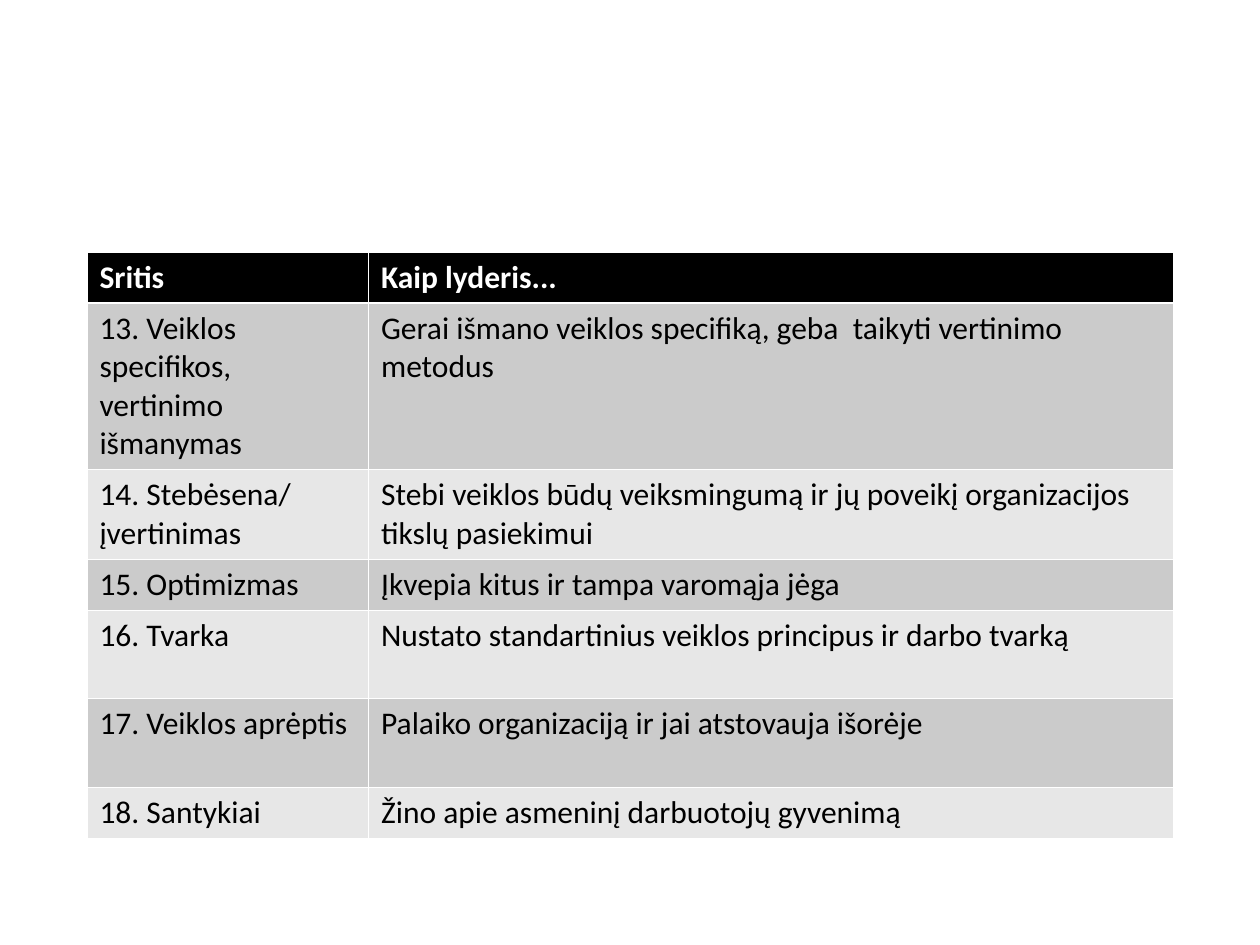
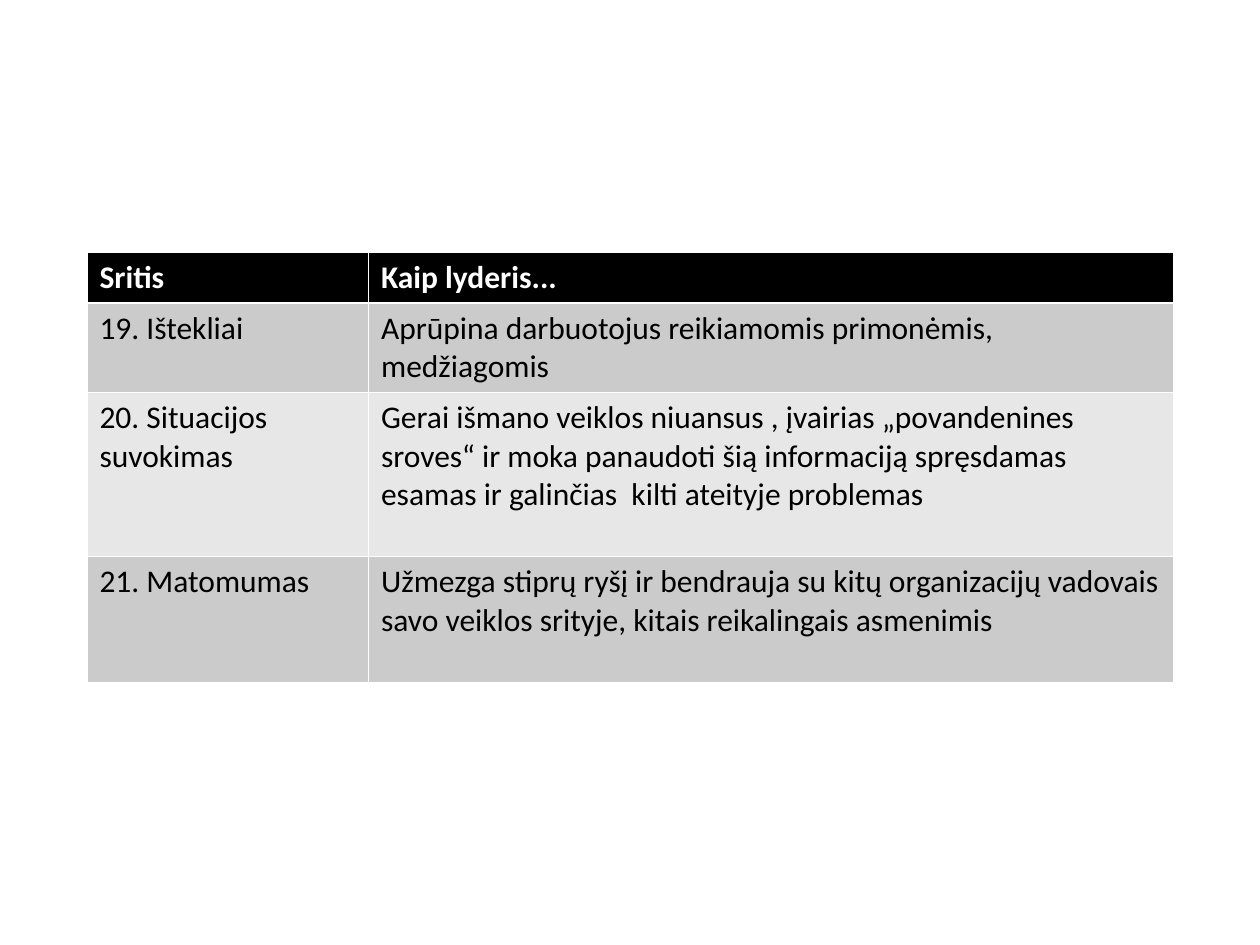
from lxml import etree
from pptx import Presentation
from pptx.dml.color import RGBColor
from pptx.oxml import ns
from pptx.util import Pt

COLOURS = {
    "header": "000000",
    "header_text": "FFFFFF",
    "body_text": "000000",
    "band_dark": "CBCBCB",
    "band_light": "E7E7E7",
    "rule": "FFFFFF",
}
FONT = "Calibri"
TEXT_SIZE = 18
THIN_RULE, HEADER_RULE = 0.45, 1.47

# Shared table place: left, top, width, in points
TABLE_BOX = (49.7, 144, 621)
AREA_WIDTH = 160.9
HEADER = ("Sritis", "Kaip lyderis...")
HEADER_HEIGHT = 29.2

# Row height in points, area, what the leader does
PAGES = [
    [
        (95, "13. Veiklos specifikos, vertinimo  išmanymas",
         "Gerai išmano veiklos specifiką, geba  taikyti vertinimo metodus"),
        (50.5, "14. Stebėsena/ įvertinimas",
         "Stebi veiklos būdų veiksmingumą ir jų poveikį organizacijos tikslų pasiekimui"),
        (29.2, "15. Optimizmas", "Įkvepia kitus ir tampa varomąja jėga"),
        (50.5, "16. Tvarka", "Nustato standartinius veiklos principus ir darbo tvarką"),
        (50.5, "17. Veiklos aprėptis", "Palaiko organizaciją ir jai atstovauja išorėje"),
        (29.2, "18. Santykiai", "Žino apie asmeninį darbuotojų gyvenimą"),
    ],
    [
        (50.5, "19. Ištekliai", "Aprūpina darbuotojus reikiamomis primonėmis, medžiagomis"),
        (93.6, "20. Situacijos suvokimas",
         "Gerai išmano veiklos niuansus , įvairias „povandenines sroves“ ir moka panaudoti "
         "šią informaciją spręsdamas esamas ir galinčias  kilti ateityje problemas"),
        (72, "21. Matomumas",
         "Užmezga stiprų ryšį ir bendrauja su kitų organizacijų vadovais savo veiklos "
         "srityje, kitais reikalingais asmenimis"),
    ],
]


def colour(name):
    return RGBColor.from_string(COLOURS[name])


def set_borders(cell, top, bottom):
    """Draw the four cell rules; they must come before the fill."""
    properties = cell._tc.get_or_add_tcPr()
    widths = {"lnL": THIN_RULE, "lnR": THIN_RULE, "lnT": top, "lnB": bottom}
    for index, (side, width) in enumerate(widths.items()):
        line = etree.Element(ns.qn(f"a:{side}"), w=str(int(Pt(width))))
        fill = etree.SubElement(line, ns.qn("a:solidFill"))
        etree.SubElement(fill, ns.qn("a:srgbClr"), val=COLOURS["rule"])
        properties.insert(index, line)


def style_cell(cell, words, row):
    is_header = row == 0
    cell.fill.solid()
    band = "band_dark" if row % 2 else "band_light"
    cell.fill.fore_color.rgb = colour("header" if is_header else band)
    set_borders(cell,
                top=HEADER_RULE if row == 1 else THIN_RULE,
                bottom=HEADER_RULE if is_header else THIN_RULE)

    cell.text_frame.text = words
    for span in cell.text_frame.paragraphs[0].runs:
        span.font.name = FONT
        span.font.size = Pt(TEXT_SIZE)
        span.font.bold = is_header
        span.font.color.rgb = colour("header_text" if is_header else "body_text")


def add_leader_table(page, box, entries):
    left, top, width = box
    rows = [(HEADER_HEIGHT, *HEADER), *entries]
    height = sum(row[0] for row in rows)
    table = page.shapes.add_table(
        len(rows), len(HEADER), Pt(left), Pt(top), Pt(width), Pt(height)).table
    table.columns[0].width = Pt(AREA_WIDTH)
    table.columns[1].width = Pt(width - AREA_WIDTH)

    for row, (row_height, *texts) in enumerate(rows):
        table.rows[row].height = Pt(row_height)
        for column, words in enumerate(texts):
            style_cell(table.cell(row, column), words, row)


def main():
    deck = Presentation()
    deck.slide_width, deck.slide_height = Pt(720), Pt(540)
    blank = deck.slide_layouts[6]
    for entries in PAGES:
        add_leader_table(deck.slides.add_slide(blank), TABLE_BOX, entries)
    deck.save("out.pptx")


if __name__ == "__main__":
    main()
